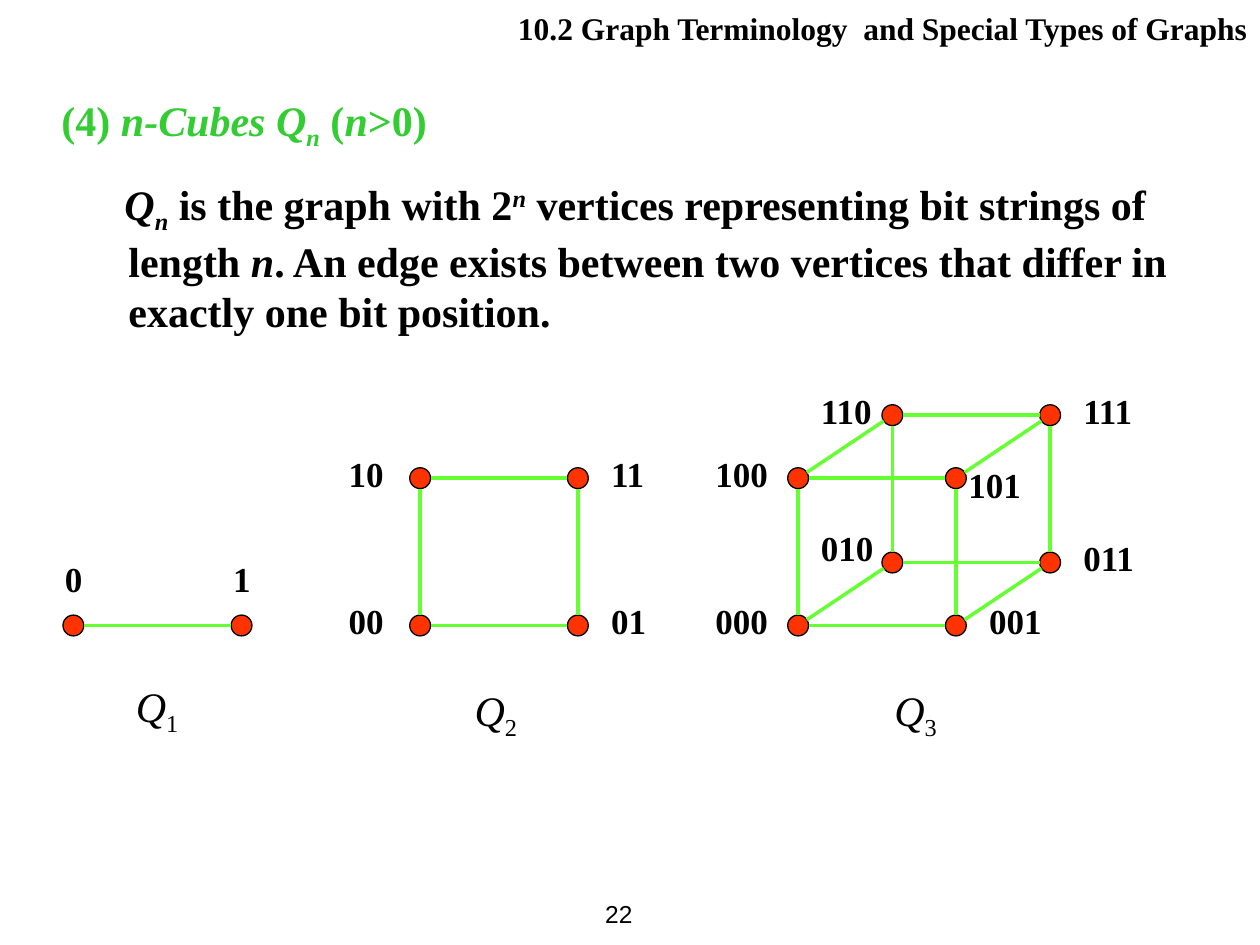
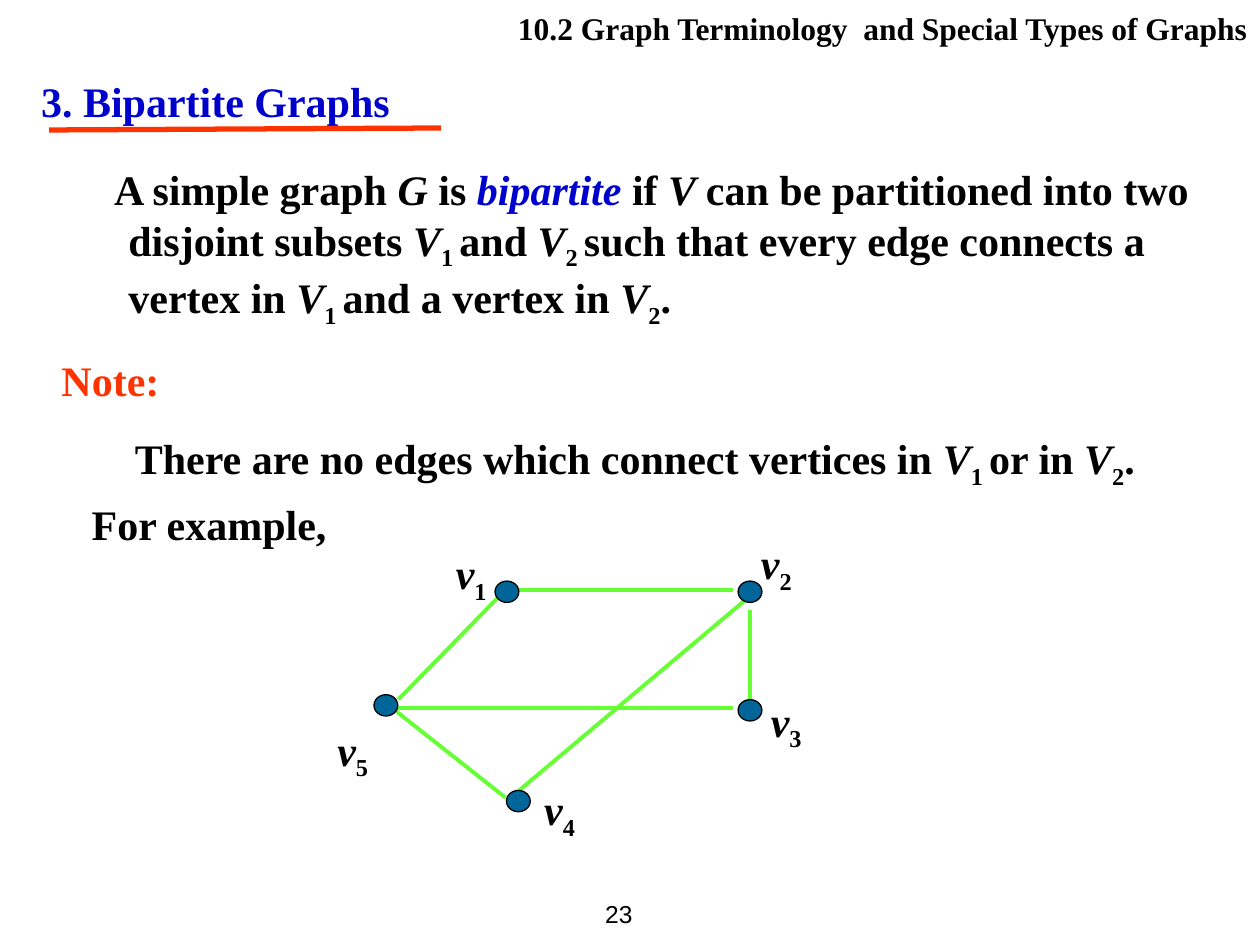
"""Builds two lecture slides on n-cubes and bipartite graphs."""
from itertools import combinations, product
from math import hypot

from lxml import etree
from pptx import Presentation
from pptx.dml.color import RGBColor
from pptx.enum.shapes import MSO_CONNECTOR, MSO_SHAPE
from pptx.enum.text import MSO_ANCHOR, PP_ALIGN
from pptx.oxml.ns import qn
from pptx.util import Cm, Pt

STRAIGHT = MSO_CONNECTOR.STRAIGHT
CIRCLE = MSO_SHAPE.FLOWCHART_CONNECTOR
ELLIPSE = MSO_SHAPE.OVAL
LEFT, RIGHT = PP_ALIGN.LEFT, PP_ALIGN.RIGHT
MIDDLE, TOP = MSO_ANCHOR.MIDDLE, MSO_ANCHOR.TOP

SERIF, SANS = "Times New Roman", "Arial"
BLACK, GREEN, BLUE, RED = "000000", "33CC33", "0000CC", "FF3300"
EDGE_GREEN, VERTEX_BLUE = "66FF33", "006699"
HANG = 1.35
BASELINES = {"_": "-25000", "^": "30000"}

SECTION = "10.2 Graph Terminology  and Special Types of Graphs"

CUBE_TEXT = [
    dict(first=-HANG, color=GREEN, runs=[
        ("(4) ", ""), ("n-Cubes Q", "i"), ("n", "i_"), (" (", ""),
        ("n", "i"), (">0)", "")]),
    dict(first=-0.08, before=15, runs=[
        ("Q", "i"), ("n", "i_"), (" is the graph with 2", ""), ("n", "i^"),
        (" vertices representing bit strings of length ", ""), ("n", "i"),
        (". An edge exists between two vertices that differ in "
         "exactly one bit position.", "")]),
]

UP, BACK, ACROSS = (0, -2.97), (1.9, -1.27), (3.18, 0)
LEFT_LABEL, RIGHT_LABEL = (-1.69, -0.65), (0.42, -0.65)
ABOVE_LABEL, FAR_LEFT_LABEL = (-0.42, -1.49), (-1.92, -0.65)
CUBES = [
    dict(origin=(1.48, 12.61), bit_steps=[(3.39, 0)], caption_at=(2.49, 13.59),
         label_offsets={"0": ABOVE_LABEL, "1": ABOVE_LABEL}),
    dict(origin=(8.47, 12.61), bit_steps=[UP, ACROSS],
         caption_at=(9.32, 13.67), label_offsets={}),
    dict(origin=(16.09, 12.61), bit_steps=[UP, BACK, ACROSS],
         caption_at=(17.78, 13.67),
         label_offsets={"000": FAR_LEFT_LABEL, "100": FAR_LEFT_LABEL,
                        "010": (-1.69, -0.85), "101": (0, -0.42)}),
]
CUBE_RADIUS = 0.21

BIPARTITE_TITLE = "3. Bipartite Graphs"
BIPARTITE_TEXT = [
    dict(first=-0.29, runs=[
        ("A simple graph ", ""), ("G ", "i"), ("is ", ""),
        ("bipartite ", "i", BLUE), ("if ", ""), ("V ", "i"),
        ("can be partitioned into two disjoint subsets ", ""),
        ("V", "i"), ("1 ", "_"), ("and ", ""), ("V", "i"), ("2 ", "_"),
        ("such that every edge connects a vertex in ", ""),
        ("V", "i"), ("1 ", "_"), ("and a vertex in ", ""),
        ("V", "i"), ("2", "_"), (".", "")]),
    dict(first=-HANG, before=9, spacing=1.2, color=RED, runs=[("Note:", "")]),
    dict(first=0.13, before=9, spacing=1.2, runs=[
        ("There are no edges which connect vertices in ", ""),
        ("V", "i"), ("1 ", "_"), ("or in ", ""), ("V", "i"), ("2", "_"),
        (".", "")]),
]
EXAMPLE = "For example,"
EXAMPLE_EDGES = [
    ((10.21, 11.89), (14.78, 11.89)),
    ((10.19, 11.89), (8.03, 14.1)),
    ((7.9, 14.27), (14.78, 14.27)),
    ((15.11, 12.29), (15.11, 14.1)),
    ((7.9, 14.27), (10.19, 16.08)),
    ((15.21, 11.94), (10.41, 15.98)),
]
EXAMPLE_VERTICES = {
    "1": dict(center=(10.22, 11.93), label_at=(8.94, 10.92)),
    "2": dict(center=(15.12, 11.93), label_at=(15.09, 10.72)),
    "3": dict(center=(15.12, 14.32), label_at=(15.29, 13.89)),
    "4": dict(center=(10.45, 16.15), label_at=(10.72, 15.67)),
    "5": dict(center=(7.78, 14.22), label_at=(6.55, 14.48)),
}


def rgb(color):
    return RGBColor.from_string(color)


def add_text(slide, box, paragraphs, size=24, font=SERIF, bold=True,
             align=LEFT, anchor=TOP):
    frame = slide.shapes.add_textbox(*map(Cm, box)).text_frame
    frame.word_wrap = True
    frame.vertical_anchor = anchor
    for index, content in enumerate(paragraphs):
        paragraph = frame.add_paragraph() if index else frame.paragraphs[0]
        paragraph.alignment = align
        if "before" in content:
            paragraph.space_before = Pt(content["before"])
        if "spacing" in content:
            paragraph.line_spacing = content["spacing"]
        if "first" in content:
            properties = paragraph._p.get_or_add_pPr()
            properties.set("marL", str(Cm(HANG)))
            properties.set("indent", str(Cm(content["first"])))
        for words, marks, *accent in content["runs"]:
            run = paragraph.add_run()
            run.text = words
            run.font.size, run.font.name = Pt(size), font
            run.font.bold, run.font.italic = bold, "i" in marks
            color = accent[0] if accent else content.get("color", BLACK)
            run.font.color.rgb = rgb(color)
            for mark, baseline in BASELINES.items():
                if mark in marks:
                    run._r.get_or_add_rPr().set("baseline", baseline)


def add_line(slide, start, end, color, width):
    line = slide.shapes.add_connector(STRAIGHT, *map(Cm, (*start, *end)))
    line.line.color.rgb = rgb(color)
    line.line.width = Pt(width)
    etree.SubElement(line._element.spPr, qn("a:effectLst"))


def add_vertex(slide, preset, center, width, height, color):
    left, top = center[0] - width / 2, center[1] - height / 2
    vertex = slide.shapes.add_shape(
        preset, *map(Cm, (left, top, width, height)))
    vertex.shadow.inherit = False
    vertex.fill.solid()
    vertex.fill.fore_color.rgb = rgb(color)
    vertex.line.color.rgb = rgb(BLACK)
    vertex.line.width = Pt(0.75)


def plain(words, color=BLACK):
    return [dict(color=color, runs=[(words, "")])]


def add_subscripted(slide, place, letter, number, bold):
    add_text(slide, (*place, 1.9, 1.42),
             [dict(runs=[(letter, "i"), (number, "_")])], bold=bold)


def add_page(deck, number):
    slide = deck.slides.add_slide(deck.slide_layouts[6])
    add_text(slide, (11.3, 17.78, 1.7, 1.27), plain(str(number)), size=14,
             font=SANS, bold=False, align=RIGHT, anchor=MIDDLE)
    add_text(slide, (10.11, 0.05, 15.29, 1.78), plain(SECTION), size=18,
             align=RIGHT)
    return slide


def add_cube(slide, dimension, origin, bit_steps, caption_at, label_offsets):
    centers = {}
    for bits in product((0, 1), repeat=dimension):
        name = "".join(map(str, bits))
        centers[name] = tuple(
            origin[axis] + sum(bit * step[axis]
                               for bit, step in zip(bits, bit_steps))
            for axis in (0, 1))
    for name, center in centers.items():
        add_vertex(slide, CIRCLE, center, 2 * CUBE_RADIUS, 2 * CUBE_RADIUS, RED)
        side = RIGHT_LABEL if name.endswith("1") else LEFT_LABEL
        dx, dy = label_offsets.get(name, side)
        add_text(slide, (center[0] + dx, center[1] + dy, 1.9, 1.12),
                 plain(name), size=20)
    for one, other in combinations(centers, 2):
        if sum(a != b for a, b in zip(one, other)) == 1:
            (x1, y1), (x2, y2) = centers[one], centers[other]
            trim = CUBE_RADIUS / hypot(x2 - x1, y2 - y1)
            dx, dy = (x2 - x1) * trim, (y2 - y1) * trim
            add_line(slide, (x1 + dx, y1 + dy), (x2 - dx, y2 - dy),
                     EDGE_GREEN, 2)
    add_subscripted(slide, caption_at, "Q", str(dimension), bold=False)


def build_cubes(deck):
    slide = add_page(deck, 22)
    add_text(slide, (0.99, 1.78, 23.39, 5.13), CUBE_TEXT)
    for dimension, cube in enumerate(CUBES, start=1):
        add_cube(slide, dimension, **cube)


def build_bipartite(deck):
    slide = add_page(deck, 23)
    add_text(slide, (0.58, 1.4, 10.97, 1.27), plain(BIPARTITE_TITLE, BLUE))
    add_line(slide, (0.99, 2.62), (8.89, 2.58), RED, 3)
    add_text(slide, (0.99, 3.18, 23.39, 6.83), BIPARTITE_TEXT)
    add_text(slide, (1.6, 9.93, 23.06, 1.27), plain(EXAMPLE))
    for start, end in EXAMPLE_EDGES:
        add_line(slide, start, end, EDGE_GREEN, 2.25)
    for number, vertex in EXAMPLE_VERTICES.items():
        add_vertex(slide, ELLIPSE, vertex["center"], 0.48, 0.43, VERTEX_BLUE)
        add_subscripted(slide, vertex["label_at"], "v", number, bold=True)


def main():
    deck = Presentation()
    deck.slide_width, deck.slide_height = Cm(25.4), Cm(19.05)
    build_cubes(deck)
    build_bipartite(deck)
    deck.save("out.pptx")


if __name__ == "__main__":
    main()
